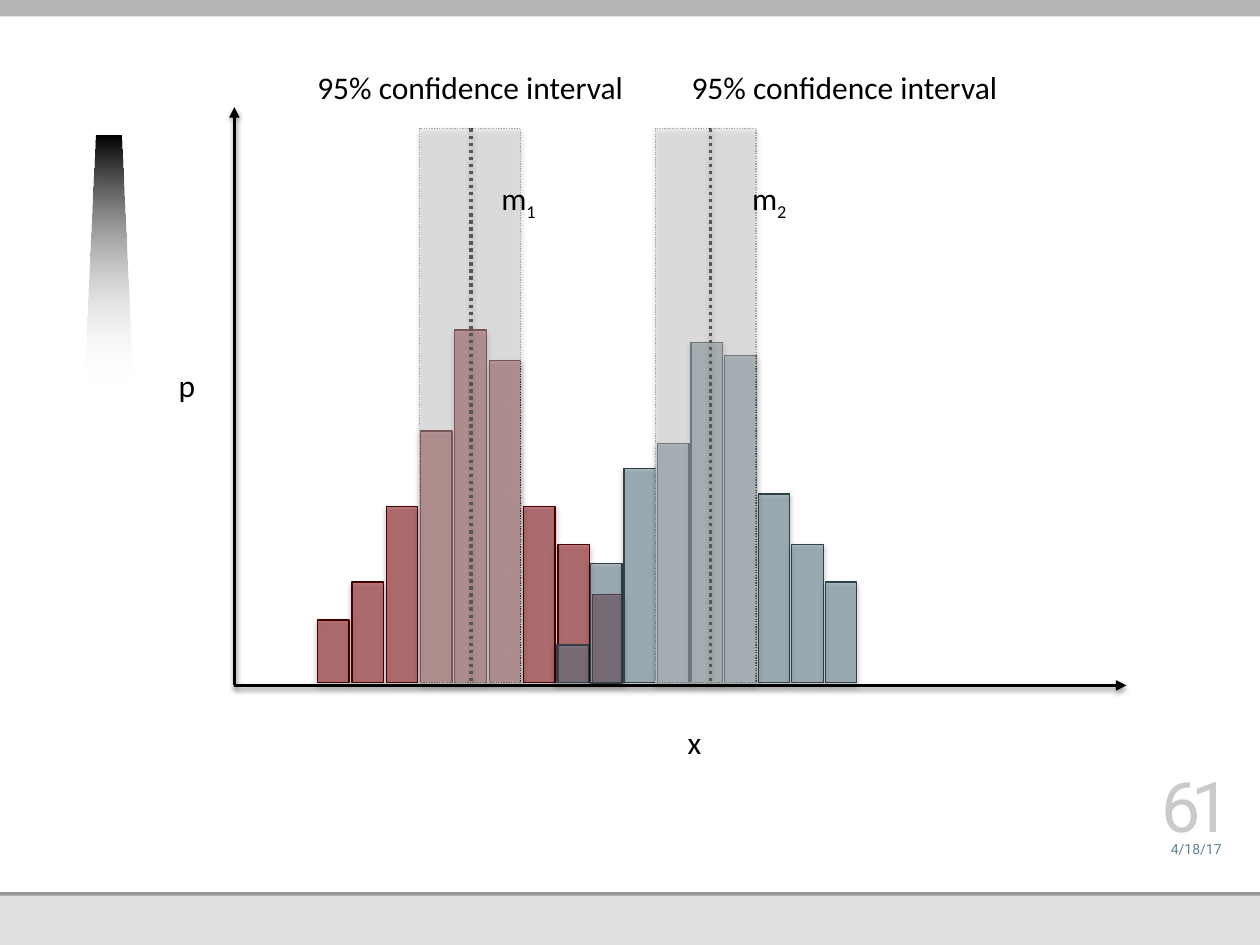
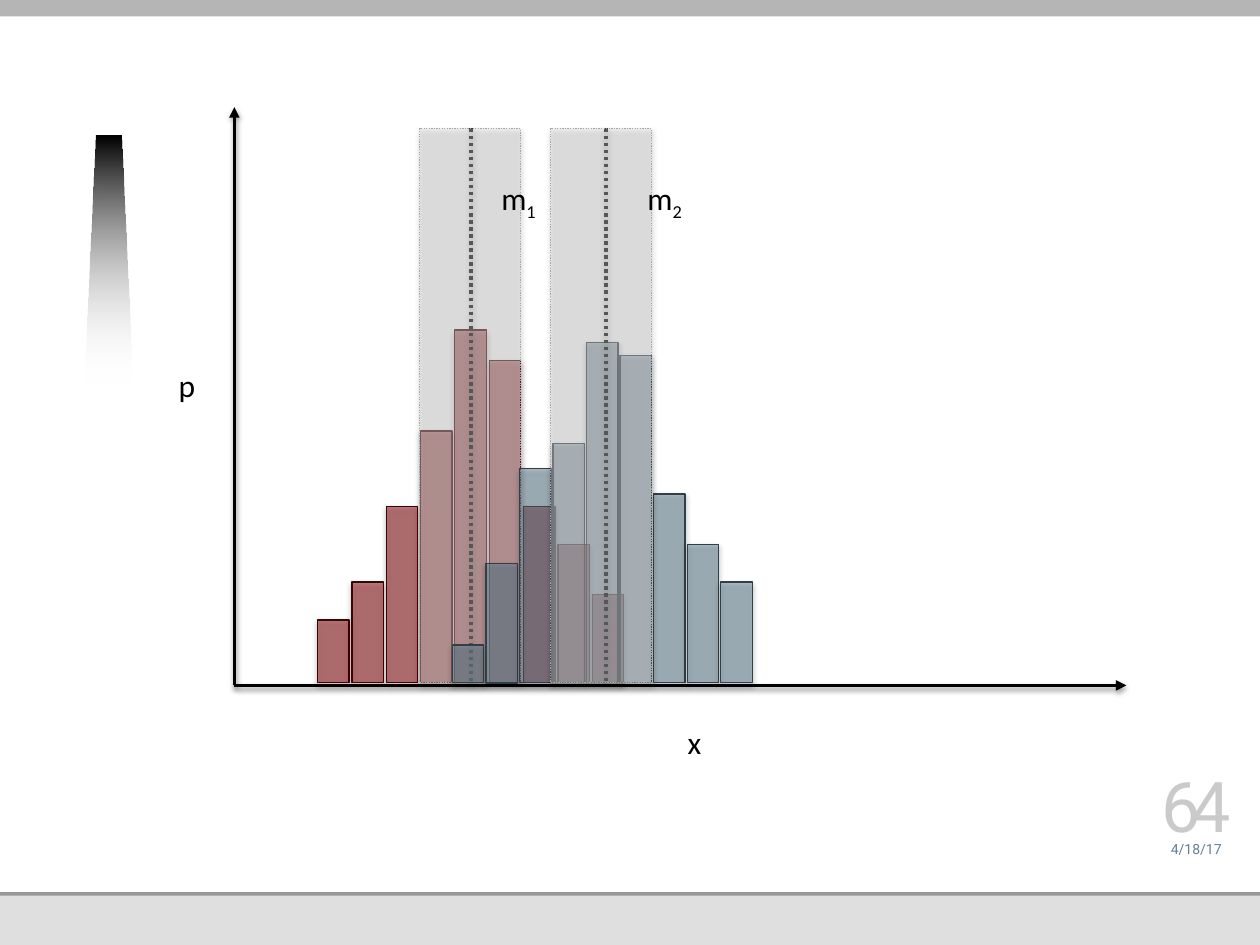
from dataclasses import dataclass

from lxml.etree import SubElement
from pptx import Presentation
from pptx.dml.color import RGBColor
from pptx.enum.dml import MSO_LINE
from pptx.enum.shapes import MSO_CONNECTOR, MSO_SHAPE
from pptx.enum.text import MSO_ANCHOR, PP_ALIGN
from pptx.oxml.ns import qn
from pptx.util import Inches, Pt

BLACK = RGBColor(0x00, 0x00, 0x00)
WHITE = RGBColor(0xFF, 0xFF, 0xFF)
RED = RGBColor(0x85, 0x02, 0x05)
DARK_RED = RGBColor(0x42, 0x01, 0x03)
BLUE = RGBColor(0x61, 0x80, 0x91)
DARK_BLUE = RGBColor(0x30, 0x40, 0x48)
BAND_FILL = RGBColor(0xD9, 0xD9, 0xD9)
BAND_LINE = RGBColor(0xA6, 0xA6, 0xA6)
FOOTER_FILL = RGBColor(0xDF, 0xDF, 0xDF)
FOOTER_RULE = RGBColor(0x98, 0x98, 0x98)
TOP_BAR = RGBColor(0xB5, 0xB5, 0xB5)
PAGE_GRAY = RGBColor(0xCA, 0xCA, 0xCA)

BODY_FONT = "Calibri"
FOOTER_FONT = "Roboto"
PLOT = (1.86, 0.85, 7.08, 4.59)
BAR_WIDTH = 0.25
BAND_WIDTH = 0.8
BAND_HEIGHT = 4.4
BASELINE_GAP = 0.02


@dataclass
class Sample:
    number: str
    heights: tuple
    span: float
    fill: RGBColor
    line: RGBColor
    band_dx: float
    label_dx: float
    caption_dx: float
    mean_dx: float = 1.22


SAMPLE_1 = Sample("1", (0.5, 0.8, 1.4, 2, 2.8, 2.56, 1.4, 1.1, 0.7), 2.18,
                  RED, DARK_RED, 0.81, 1.36, -0.1)
SAMPLE_2 = Sample("2", (0.3, 0.95, 1.7, 1.9, 2.7, 2.6, 1.5, 1.1, 0.8), 2.13,
                  BLUE, DARK_BLUE, 0.78, 1.45, 0.97)


def add_shadow(shape, alpha, distance):
    effects = SubElement(shape._element.spPr, qn("a:effectLst"))
    shadow = SubElement(effects, qn("a:outerShdw"), blurRad=str(Pt(3.1)),
                        dist=str(Pt(distance)), dir="5400000", rotWithShape="0")
    color = SubElement(shadow, qn("a:srgbClr"), val=str(BLACK))
    SubElement(color, qn("a:alpha"), val=str(alpha * 1000))


def add_box(s, x, y, w, h, fill, alpha=None, line=None, dash=None):
    sp = s.shapes.add_shape(MSO_SHAPE.RECTANGLE, Inches(x), Inches(y), Inches(w), Inches(h))
    sp.fill.solid()
    sp.fill.fore_color.rgb = fill
    if alpha:
        color = sp._element.spPr.find(qn("a:solidFill")).find(qn("a:srgbClr"))
        SubElement(color, qn("a:alpha"), val=str(alpha * 1000))
    if line is None:
        sp.line.fill.background()
        sp.shadow.inherit = False
        return
    sp.line.color.rgb = line
    sp.line.width = Pt(0.75)
    if dash:
        sp.line.dash_style = dash
    add_shadow(sp, 35, 1.8)


def add_line(s, x1, y1, x2, y2, dash=None, arrow=False):
    line = s.shapes.add_connector(MSO_CONNECTOR.STRAIGHT, Inches(x1), Inches(y1),
                                  Inches(x2), Inches(y2))
    line.line.color.rgb = BLACK
    line.line.width = Pt(2)
    if dash:
        line.line.dash_style = dash
    if arrow:
        SubElement(line._element.spPr.find(qn("a:ln")), qn("a:tailEnd"), type="triangle")
    add_shadow(line, 38, 1.6)


def add_text(s, text, x, y, w, h=0.4, size=18, font=BODY_FONT, color=BLACK,
             footer=False, spacing=None, subscript=""):
    tf = s.shapes.add_textbox(Inches(x), Inches(y), Inches(w), Inches(h)).text_frame
    tf.word_wrap = footer
    p = tf.paragraphs[0]
    if footer:
        tf.margin_left = tf.margin_top = tf.margin_right = tf.margin_bottom = 0
        tf.vertical_anchor = MSO_ANCHOR.BOTTOM
        p.alignment = PP_ALIGN.CENTER
    for part in filter(None, (text, subscript)):
        r = p.add_run()
        r.text = part
        r.font.size = Pt(size)
        r.font.name = font
        r.font.color.rgb = color
        if spacing:
            r.font._element.set("spc", str(spacing * 100))
    if subscript:
        r.font._element.set("baseline", "-25000")


def add_wedge(s, x, y, w, h):
    inset = 0.09
    points = [(x + inset, y), (x + w - inset, y), (x + w, y + h)]
    builder = s.shapes.build_freeform(Inches(x), Inches(y + h))
    builder.add_line_segments([(Inches(px), Inches(py)) for px, py in points])
    sp = builder.convert_to_shape()
    sp.shadow.inherit = False
    sp.line.fill.background()
    sp.fill.gradient()
    sp.fill.gradient_angle = 270
    for stop, color in zip(sp.fill.gradient_stops, (BLACK, WHITE)):
        stop.color.rgb = color
        stop.position = 0 if color == BLACK else 1
    clear = sp._element.spPr.findall(".//" + qn("a:srgbClr"))[-1]
    SubElement(clear, qn("a:alpha"), val="0")


def add_frame(s, page):
    add_box(s, 0, 7.08, 10, 0.42, FOOTER_FILL)
    add_box(s, 0, 7.08, 10, 0.03, FOOTER_RULE)
    add_wedge(s, 0.67, 1.08, 0.38, 1.97)
    add_box(s, 0, 0, 10, 0.13, TOP_BAR)
    add_text(s, "4/18/17", 9.13, 6.58, 0.73, 0.22, size=8, font=FOOTER_FONT,
             color=BLUE, footer=True)
    add_text(s, page, 9.13, 6.16, 0.73, 0.56, size=40, font=FOOTER_FONT,
             color=PAGE_GRAY, footer=True, spacing=-5)


def add_axes(s, x, y, w, h):
    add_line(s, x, y + h, x + w, y + h, arrow=True)
    add_line(s, x, y + h, x, y, arrow=True)
    add_text(s, "x", x + 3.5, y + h + 0.25, 0.31)
    add_text(s, "p", x - 0.54, y + 2.01, 0.34)


def add_sample(s, sample, x, base, caption):
    pitch = sample.span / (len(sample.heights) - 1)
    for i, height in enumerate(sample.heights):
        add_box(s, x + i * pitch, base - height, BAR_WIDTH, height,
                sample.fill, alpha=50, line=sample.line)
    top = base - BAND_HEIGHT
    mean = x + sample.mean_dx
    add_line(s, mean, top, mean, base, dash=MSO_LINE.ROUND_DOT)
    add_box(s, x + sample.band_dx, top, BAND_WIDTH, BAND_HEIGHT, BAND_FILL,
            alpha=40, line=BAND_LINE, dash=MSO_LINE.ROUND_DOT)
    add_text(s, "m", x + sample.label_dx, top + 0.35, 0.49, subscript=sample.number)
    if caption:
        add_text(s, "95% confidence interval", x + sample.caption_dx, top - 0.53, 2.66)


def add_histogram_slide(prs, page, second_dx, caption=False):
    s = prs.slides.add_slide(prs.slide_layouts[6])
    add_frame(s, page)
    add_axes(s, *PLOT)
    x, y, w, h = PLOT
    base = y + h - BASELINE_GAP
    for sample, dx in ((SAMPLE_1, 0.66), (SAMPLE_2, second_dx)):
        add_sample(s, sample, x + dx, base, caption)


def main():
    prs = Presentation()
    prs.slide_width = Inches(10)
    prs.slide_height = Inches(7.5)
    add_histogram_slide(prs, "61", second_dx=2.56, caption=True)
    add_histogram_slide(prs, "64", second_dx=1.73)
    prs.save("out.pptx")


if __name__ == "__main__":
    main()
